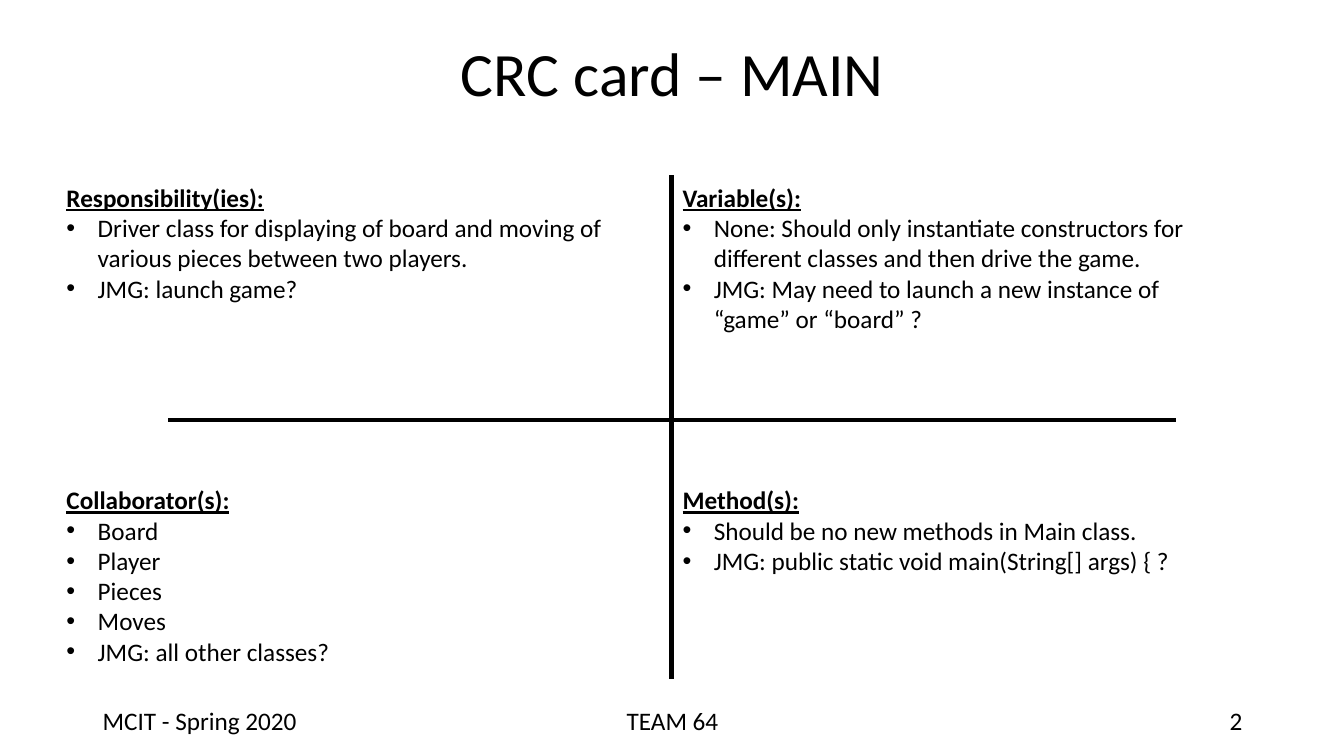
from lxml import etree
from pptx import Presentation
from pptx.dml.color import RGBColor
from pptx.enum.shapes import MSO_CONNECTOR
from pptx.enum.text import MSO_ANCHOR, PP_ALIGN
from pptx.oxml.ns import qn
from pptx.util import Pt

BLACK = RGBColor(0, 0, 0)
WHITE = RGBColor(255, 255, 255)
LEFT, CENTER, RIGHT = PP_ALIGN.LEFT, PP_ALIGN.CENTER, PP_ALIGN.RIGHT
TOP, MIDDLE = MSO_ANCHOR.TOP, MSO_ANCHOR.MIDDLE
STRAIGHT = MSO_CONNECTOR.STRAIGHT
SCALE = 9144


def px(size):
    return size * SCALE


class Card:
    font = "Calibri"
    ink = BLACK
    body = 18
    head = 44
    rule = 3
    dent = 31

    def __init__(self, slide):
        self.slide = slide
        fill = slide.background.fill
        fill.solid()
        fill.fore_color.rgb = WHITE

    def frame(self, left, top, width, height, pad, anchor=TOP):
        box = self.slide.shapes.add_textbox(px(left), px(top), px(width), px(height))
        frame = box.text_frame
        frame.word_wrap = True
        frame.vertical_anchor = anchor
        frame.margin_left = frame.margin_right = px(pad)
        frame.margin_top = frame.margin_bottom = px(5)
        return frame

    def add_text(self, para, text, size, strong=False):
        run = para.add_run()
        run.text = text
        font = run.font
        font.name = self.font
        font.size = Pt(size)
        font.color.rgb = self.ink
        font.bold = font.underline = strong

    def title(self, text, left, top, width, height):
        para = self.frame(left, top, width, height, 10, MIDDLE).paragraphs[0]
        para.alignment = CENTER
        para.line_spacing = 0.9
        self.add_text(para, text, self.head)

    def label(self, text, left, top, width, height, align):
        para = self.frame(left, top, width, height, 10).paragraphs[0]
        para.alignment = align
        self.add_text(para, text, self.body)

    def bullet(self, para):
        props = para._p.get_or_add_pPr()
        props.set("marL", str(px(self.dent)))
        props.set("indent", str(-px(self.dent)))
        etree.SubElement(props, qn("a:buFont"), typeface="Arial")
        etree.SubElement(props, qn("a:buChar"), char="•")

    def panel(self, name, items, left, top, width, height):
        frame = self.frame(left, top, width, height, 5)
        self.add_text(frame.paragraphs[0], name, self.body, True)
        for item in items:
            para = frame.add_paragraph()
            self.bullet(para)
            self.add_text(para, item, self.body)

    def line(self, *ends):
        line = self.slide.shapes.add_connector(STRAIGHT, *map(px, ends))
        line.line.color.rgb = self.ink
        line.line.width = Pt(self.rule)
        etree.SubElement(line._element.spPr, qn("a:effectLst"))


PANELS = [
    [
        ("Responsibility(ies):", [
            "Driver class for displaying of board and moving of various pieces between two players.",
            "JMG: launch game?",
        ]),
        ("Variable(s):", [
            "None: Should only instantiate constructors for different classes and then drive the game.",
            "JMG: May need to launch a new instance of “game” or “board” ?",
        ]),
    ],
    [
        ("Collaborator(s):", [
            "Board", "Player", "Pieces", "Moves", "JMG: all other classes?",
        ]),
        ("Method(s):", [
            "Should be no new methods in Main class.",
            "JMG: public static void main(String[] args) { ?",
        ]),
    ],
]

FOOTER = [
    ("MCIT - Spring 2020", 92, 300, LEFT),
    ("TEAM 64", 442, 450, CENTER),
    ("2", 942, 300, RIGHT),
]


def main():
    deck = Presentation()
    deck.slide_width, deck.slide_height = px(1333), px(750)
    card = Card(deck.slides.add_slide(deck.slide_layouts[6]))

    card.title("CRC card – MAIN", 92, 3, 1150, 145)
    card.line(666, 174, 666, 674)
    card.line(167, 417, 1166, 417)
    for text, left, width, align in FOOTER:
        card.label(text, left, 695, width, 40, align)
    for row, pair in enumerate(PANELS):
        for col, (name, items) in enumerate(pair):
            card.panel(name, items, 61 + 611 * col, 176 + 300 * row, 550, 200)

    deck.save("out.pptx")


if __name__ == "__main__":
    main()
